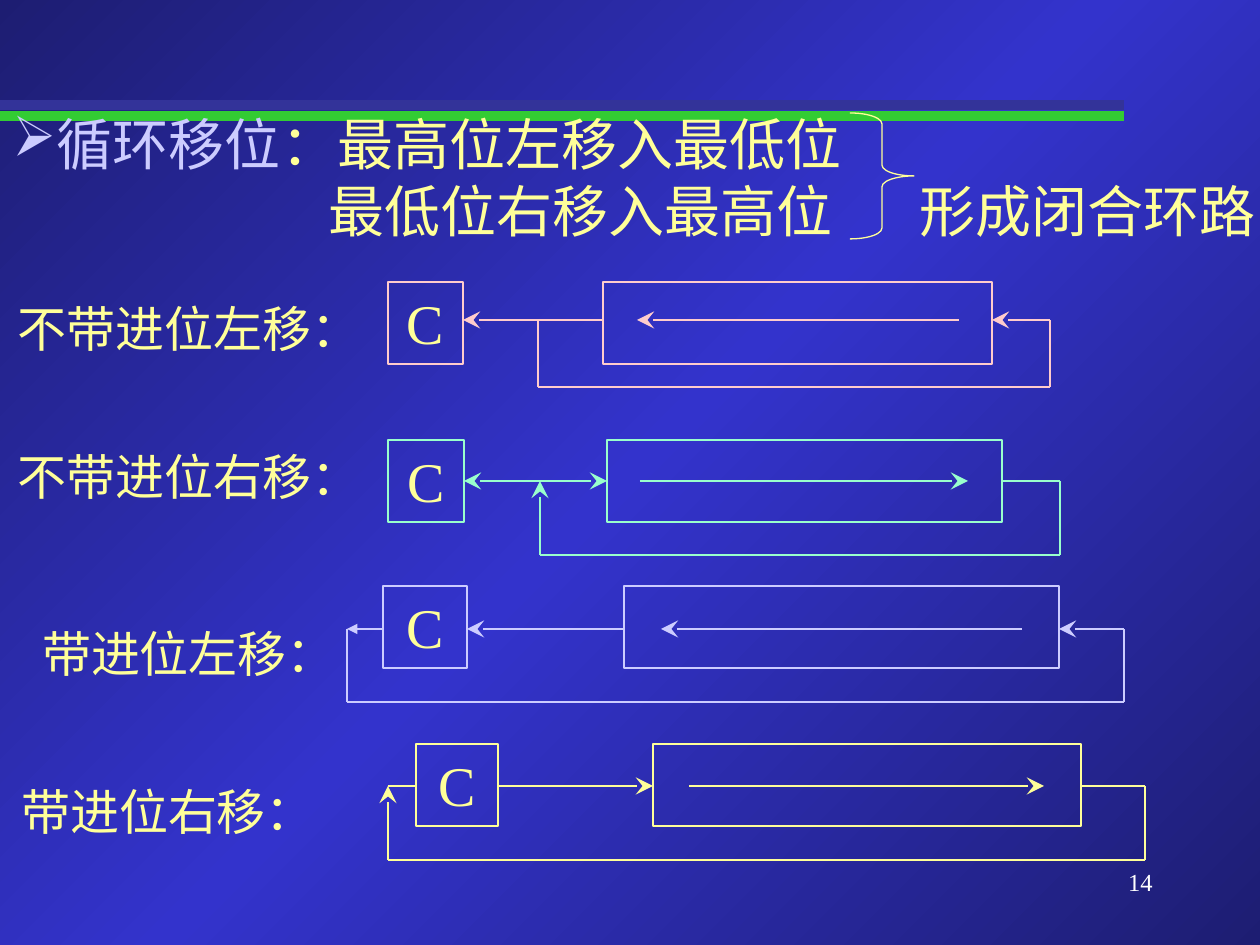
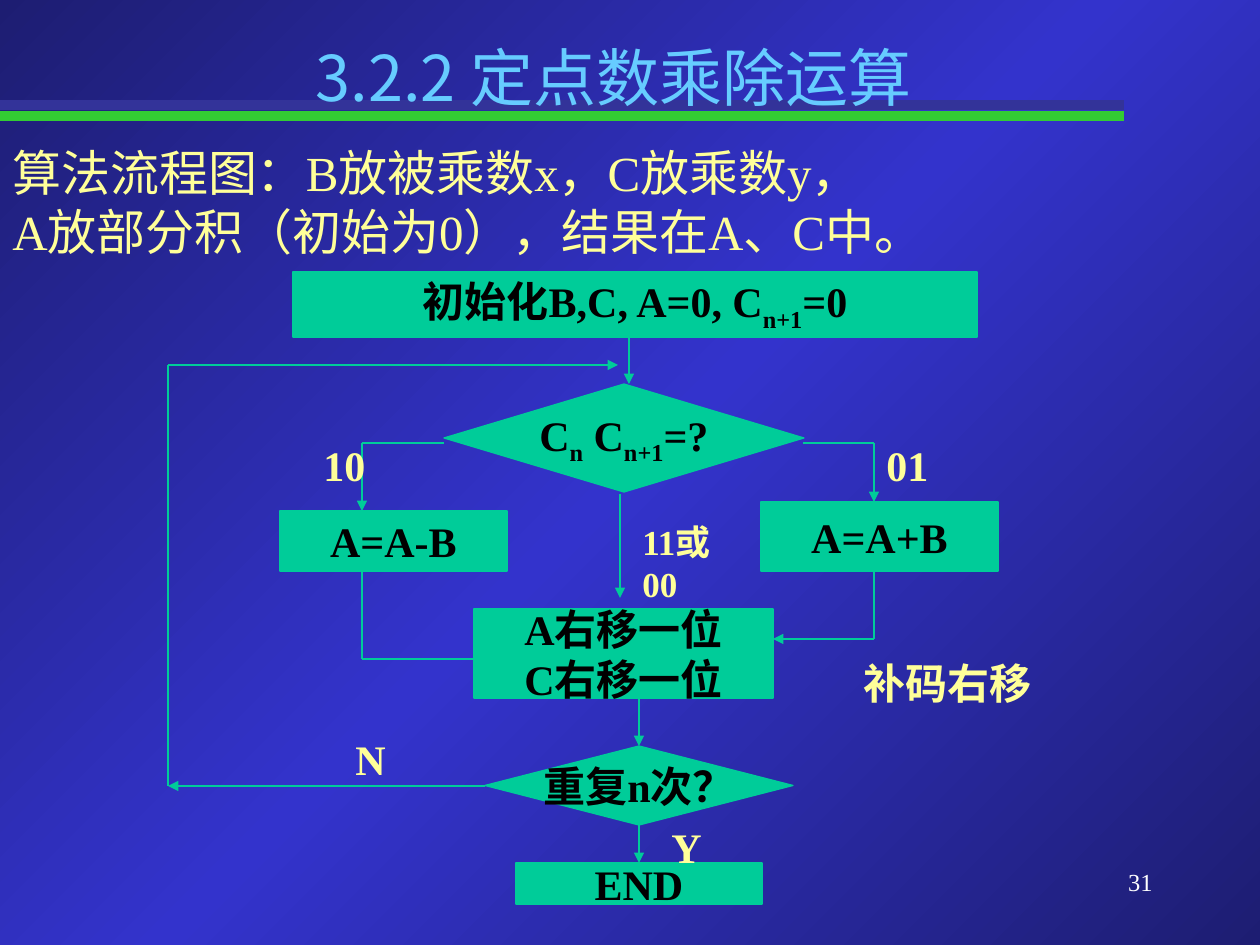
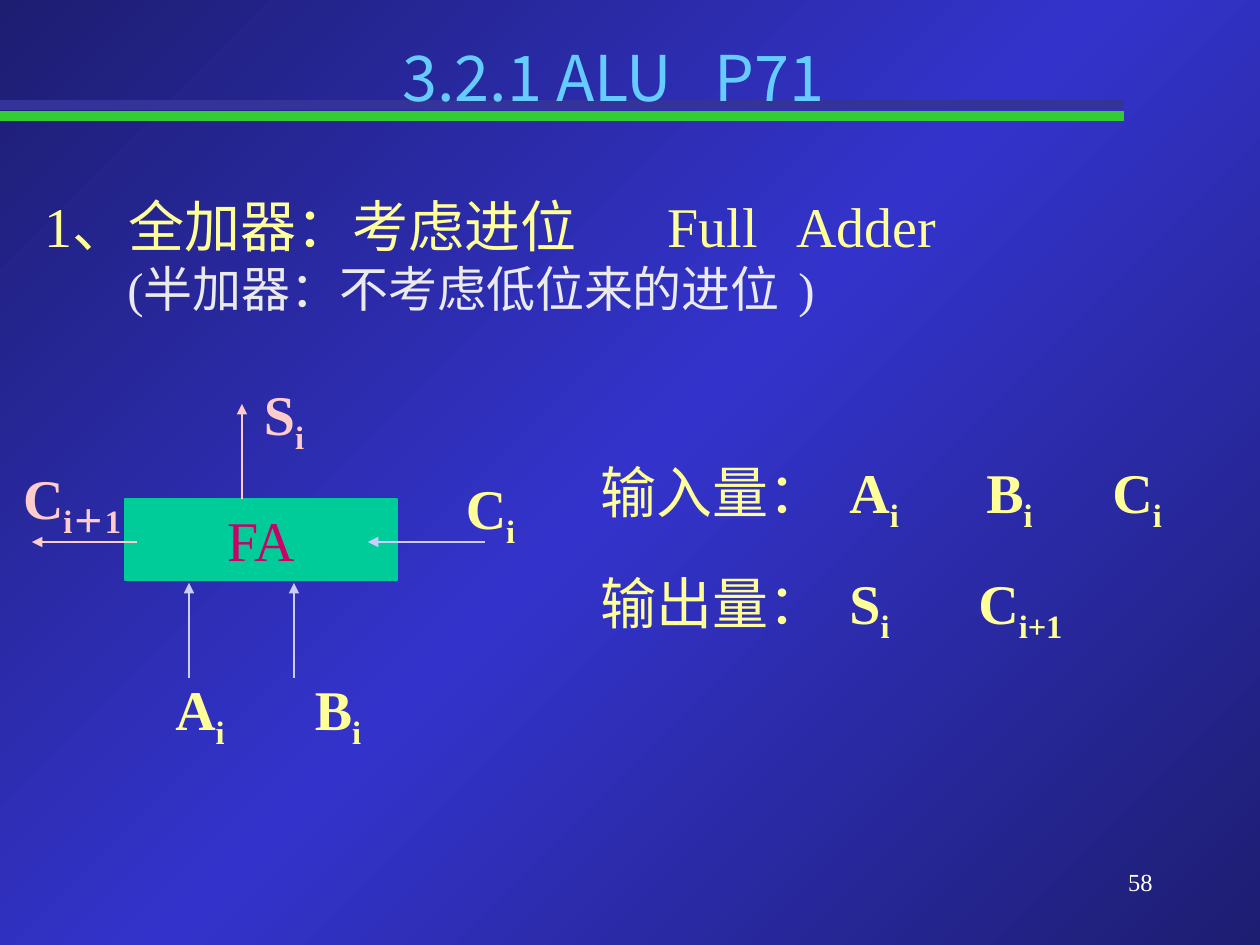
"""Build three lecture slides on shifts, multiplication and the full adder."""
from copy import deepcopy
from itertools import pairwise

from lxml import etree
from pptx import Presentation
from pptx.dml.color import RGBColor
from pptx.enum.shapes import MSO_CONNECTOR, MSO_SHAPE
from pptx.enum.text import MSO_ANCHOR, MSO_AUTO_SIZE, PP_ALIGN
from pptx.oxml.ns import qn
from pptx.util import Pt

SCALE = 914400 / 126
LEFT, CENTER, RIGHT = PP_ALIGN.LEFT, PP_ALIGN.CENTER, PP_ALIGN.RIGHT
TOP, MIDDLE = MSO_ANCHOR.TOP, MSO_ANCHOR.MIDDLE
RECTANGLE, BRACE = MSO_SHAPE.RECTANGLE, MSO_SHAPE.RIGHT_BRACE
PROCESS, DECISION = MSO_SHAPE.FLOWCHART_PROCESS, MSO_SHAPE.FLOWCHART_DECISION
STRAIGHT = MSO_CONNECTOR.STRAIGHT
NO_AUTOSIZE = MSO_AUTO_SIZE.NONE
SERIF, SANS = "Times New Roman", "Noto Sans CJK SC"
HEX = {
    "navy": "1D1D72", "blue": "3333CC", "band": "333399", "green": "33CC33",
    "sky": "66CCFF", "yellow": "FFFF99", "lilac": "CCCCFF", "pink": "FFCCCC",
    "mint": "99FFCC", "teal": "00CC99", "gray": "EAEAEA", "magenta": "CC0066",
    "white": "FFFFFF", "black": "000000",
}
COLORS = {name: RGBColor.from_string(value) for name, value in HEX.items()}
ARROW_SIZES = {"stealth": "lg", "triangle": "med"}


def put(page, at, lines, size=24, color="yellow", bold=False, align=LEFT, anchor=TOP,
        wrap=True, stops=(), gap=0, kind=None, fill=None, line=None, weight=0.75):
    """Add a text box or preset shape; text between underscores is subscript."""
    place = [int(length * SCALE) for length in at]
    if kind is None:
        box = page.shapes.add_textbox(*place)
    else:
        box = page.shapes.add_shape(kind, *place)
        box.shadow.inherit = False
        box.line.color.rgb = COLORS[line]
        box.line.width = Pt(weight)
        if fill:
            box.fill.solid()
            box.fill.fore_color.rgb = COLORS[fill]
        else:
            box.fill.background()
    frame = box.text_frame
    frame.word_wrap = wrap
    frame.vertical_anchor = anchor
    for index, text in enumerate(lines):
        para = frame.add_paragraph() if index else frame.paragraphs[0]
        para.alignment = align
        if index and gap:
            para.space_before = Pt(gap)
        if stops:
            tabs = etree.SubElement(para._p.get_or_add_pPr(), qn("a:tabLst"))
            for stop in stops[index]:
                etree.SubElement(tabs, qn("a:tab"), pos=str(int(stop * SCALE)), algn="l")
        para.font.name = SERIF
        para.font.size = Pt(size)
        para.font.bold = bold
        para.font.color.rgb = COLORS[color]
        for order, part in enumerate(text.split("_")):
            if part:
                span = para.add_run()
                span.text = part
                if order % 2:
                    span._r.get_or_add_rPr().set("baseline", "-25000")
    return box


def link(page, points, color, arrow=None, weight=0.75):
    """Join the points with straight connectors; the arrowhead is at the last point."""
    for start, end in pairwise(points):
        connector = page.shapes.add_connector(
            STRAIGHT, *[int(length * SCALE) for length in (*start, *end)])
        connector.line.color.rgb = COLORS[color]
        connector.line.width = Pt(weight)
        properties = connector.element.spPr
        if arrow and end == points[-1]:
            extent = ARROW_SIZES[arrow]
            etree.SubElement(properties.find(qn("a:ln")), qn("a:tailEnd"),
                             type=arrow, w=extent, len=extent)
        etree.SubElement(properties, qn("a:effectLst"))


deck = Presentation()
deck.slide_width, deck.slide_height = int(1260 * SCALE), int(945 * SCALE)

backdrop = deck.slide_master.background.fill
backdrop.gradient()
backdrop.gradient_angle = 315
stop_list = next(deck.slide_master.element.iter(qn("a:gsLst")))
stop_list.append(deepcopy(stop_list[-1]))
for stop, position, name in zip(backdrop.gradient_stops, (0, 0.5, 1), ("navy", "blue", "navy")):
    stop.position = position
    stop.color.rgb = COLORS[name]

pages = []
for number, heading in (("14", None), ("31", "3.2.2 定点数乘除运算"), ("58", "3.2.1 ALU   P71")):
    page = deck.slides.add_slide(deck.slide_layouts[5 if heading else 6])
    for level, color in ((116, "green"), (105, "band")):
        link(page, [(0, level), (1124, level)], color, weight=5.5)
    put(page, (903, 861, 262, 63), [number], 14, "white", align=RIGHT)
    if heading:
        title = page.shapes.title
        title.left, title.top, title.width, title.height = [
            int(length * SCALE) for length in (199, 32, 829, 88)]
        title.text_frame.text = heading
        title.text_frame.auto_size = NO_AUTOSIZE
        title.text_frame.vertical_anchor = TOP
        para = title.text_frame.paragraphs[0]
        para.alignment = CENTER
        para.font.name = SANS
        para.font.size = Pt(36)
        para.font.color.rgb = COLORS["sky"]
        page.shapes.element.append(title.element)
    pages.append(page)
shift_page, multiply_page, adder_page = pages

rotation = put(shift_page, (0, 103, 1323, 248),
               ["循环移位__：最高位左移入最低位", "\t最低位右移入最高位\t形成闭合环路"],
               32, stops=((), (316, 907)))
para = rotation.text_frame.paragraphs[0]
para.runs[0].font.color.rgb = COLORS["lilac"]
para._p.get_or_add_pPr().insert(0, etree.Element(qn("a:buChar"), char="➢"))
brace = put(shift_page, (850, 113, 64, 126), [], kind=BRACE, line="yellow")
brace.adjustments[0] = 0.17

shifts = [
    ("不带进位左移：", 292, 378, "pink", 282, (388, 75), (603, 389), [
        ("stealth", [(959, 320), (637, 320)]),
        ("stealth", [(603, 320), (463, 320)]),
        ("stealth", [(538, 320), (538, 387), (1050, 387), (1050, 320), (992, 320)])]),
    ("不带进位右移：", 440, 378, "mint", 440, (388, 76), (607, 395), [
        ("stealth", [(640, 481), (968, 481)]),
        ("stealth", [(540, 481), (607, 481)]),
        ("stealth", [(540, 481), (464, 481)]),
        ("stealth", [(1002, 481), (1060, 481), (1060, 555), (540, 555), (540, 481)])]),
    ("带进位左移：", 617, 378, "lilac", 586, (383, 84), (624, 435), [
        ("stealth", [(1022, 629), (661, 629)]),
        ("stealth", [(624, 629), (467, 629)]),
        ("triangle", [(383, 629), (347, 629)]),
        ("stealth", [(347, 629), (347, 702), (1124, 702), (1124, 629), (1059, 629)])]),
    ("带进位右移：", 775, 336, "yellow", 744, (416, 82), (653, 428), [
        ("stealth", [(689, 786), (1044, 786)]),
        ("stealth", [(498, 786), (653, 786)]),
        (None, [(388, 786), (416, 786)]),
        ("stealth", [(1081, 786), (1145, 786), (1145, 860), (388, 860), (388, 786)])]),
]
for label, label_top, label_width, color, top, carry, register, wires in shifts:
    put(shift_page, (0, label_top, label_width, 72), [label], 28, align=CENTER)
    for (left, width), lines in ((register, []), (carry, ["C"])):
        put(shift_page, (left, top, width, 82), lines, 32, align=CENTER,
            kind=RECTANGLE, line=color, weight=1)
    for arrow, points in wires:
        link(shift_page, points, color, arrow)

put(multiply_page, (0, 136, 1260, 130),
    ["算法流程图：B放被乘数x，C放乘数y，", "A放部分积（初始为0），结果在A、C中。"], 28)
steps = [
    (PROCESS, (293, 272, 684, 65), ["初始化B,C, A=0, C_n+1_=0"]),
    (DECISION, (444, 384, 360, 108), ["C_n_ C_n+1_=?"]),
    (PROCESS, (280, 511, 227, 60), ["A=A-B"]),
    (PROCESS, (761, 502, 237, 69), ["A=A+B"]),
    (PROCESS, (474, 609, 299, 89), ["A右移一位", "C右移一位"]),
    (DECISION, (485, 746, 308, 79), ["重复n次？"]),
    (PROCESS, (516, 863, 246, 41), ["END"]),
]
for kind, at, lines in steps:
    put(multiply_page, at, lines, color="black", bold=True, align=CENTER, anchor=MIDDLE,
        wrap=False, kind=kind, fill="teal", line="teal")
flows = [
    [(485, 786), (168, 786)],
    [(168, 786), (168, 365), (618, 365)],
    [(629, 337), (629, 384)],
    [(444, 443), (362, 443), (362, 511)],
    [(803, 443), (874, 443), (874, 502)],
    [(362, 571), (362, 659), (485, 659)],
    [(874, 571), (874, 639), (773, 639)],
    [(620, 494), (620, 598)],
    [(639, 698), (639, 746)],
    [(639, 825), (639, 863)],
]
for points in flows:
    link(multiply_page, points, "teal", "triangle")
branches = [
    ("10", (311, 433, 72, 63), 24),
    ("01", (874, 433, 82, 63), 24),
    ("N", (343, 727, 102, 63), 24),
    ("Y", (659, 815, 92, 63), 24),
    ("补码右移", (851, 651, 273, 63), 24),
    ("11或00", (630, 514, 105, 97), 20),
]
for text, at, size in branches:
    put(multiply_page, at, [text], size, bold=True)

intro = put(adder_page, (32, 185, 1228, 147),
            ["1、全加器：考虑进位\tFull\tAdder", "\t(半加器：不考虑低位来的进位\t)"],
            32, stops=((623, 752), (83, 754)))
half_adder = intro.text_frame.paragraphs[1]
half_adder.font.size = Pt(28)
half_adder.font.color.rgb = COLORS["gray"]

put(adder_page, (125, 499, 272, 81), ["FA"], 32, "magenta", align=CENTER,
    kind=RECTANGLE, fill="teal", line="teal")
signals = [
    ([(189, 678), (189, 583)], "lilac", 1.5),
    ([(294, 678), (294, 583)], "lilac", 1.5),
    ([(485, 542), (368, 542)], "lilac", 0.75),
    ([(137, 542), (32, 542)], "pink", 0.75),
    ([(242, 499), (242, 404)], "pink", 0.75),
]
for points, color, weight in signals:
    link(adder_page, points, color, "triangle", weight)
pins = [
    ("A_i_", (147, 668, 106, 79), "yellow"),
    ("B_i_", (273, 668, 130, 79), "yellow"),
    ("C_i_", (420, 467, 141, 79), "yellow"),
    ("S_i_", (231, 373, 106, 79), "pink"),
    ("C_i＋1_", (0, 457, 144, 79), "pink"),
]
for text, at, color in pins:
    put(adder_page, at, [text], 32, color, bold=True, align=CENTER)
terminals = put(adder_page, (588, 451, 630, 180),
                ["输入量：__\tA_i_\tB_i_\tC_i_", "输出量：__\tS_i_\tC_i+1_"],
                32, bold=True, stops=((249, 386, 512), (249, 378)), gap=20)
for para in terminals.text_frame.paragraphs:
    para.runs[0].font.bold = False

deck.save("out.pptx")
